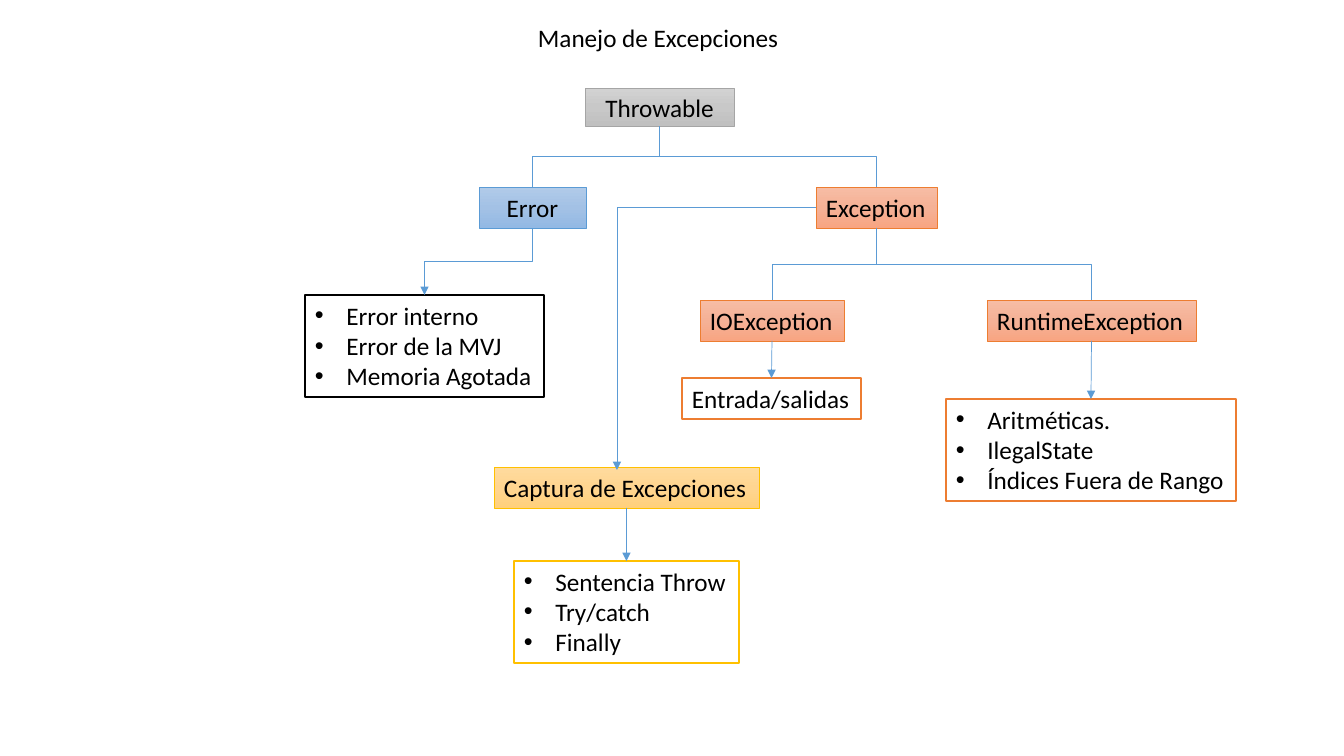
from copy import deepcopy

from lxml.etree import SubElement
from pptx import Presentation
from pptx.dml.color import RGBColor
from pptx.enum.shapes import MSO_CONNECTOR, MSO_SHAPE
from pptx.enum.text import MSO_ANCHOR, MSO_AUTO_SIZE, PP_ALIGN
from pptx.oxml.ns import qn
from pptx.util import Emu, Pt

PX_PER_INCH = 100.8
BLACK = RGBColor(0x00, 0x00, 0x00)
WHITE = RGBColor(0xFF, 0xFF, 0xFF)
GRAY = RGBColor(0xA5, 0xA5, 0xA5)
BLUE = RGBColor(0x5B, 0x9B, 0xD5)
ORANGE = RGBColor(0xED, 0x7D, 0x31)
GOLD = RGBColor(0xFF, 0xC0, 0x00)
SHADES = {
    GRAY: (RGBColor(0xD2, 0xD2, 0xD2), RGBColor(0xC8, 0xC8, 0xC8), RGBColor(0xC0, 0xC0, 0xC0)),
    BLUE: (RGBColor(0xB1, 0xCB, 0xE9), RGBColor(0xA3, 0xC1, 0xE5), RGBColor(0x93, 0xB9, 0xE4)),
    ORANGE: (RGBColor(0xF7, 0xBD, 0xA5), RGBColor(0xF5, 0xB1, 0x96), RGBColor(0xF8, 0xA5, 0x82)),
    GOLD: (RGBColor(0xFF, 0xDB, 0x9E), RGBColor(0xFF, 0xD5, 0x90), RGBColor(0xFF, 0xD0, 0x7C)),
}
TOP, LEFT, BOTTOM = 0, 1, 2


def px(length):
    return Emu(round(length * 914400 / PX_PER_INCH))


def write_text(shape, text, centered=False, bulleted=False):
    frame = shape.text_frame
    frame.text = text
    frame.word_wrap = centered
    frame.vertical_anchor = MSO_ANCHOR.MIDDLE if centered else MSO_ANCHOR.TOP
    frame.auto_size = MSO_AUTO_SIZE.NONE if centered else MSO_AUTO_SIZE.SHAPE_TO_FIT_TEXT
    for para in frame.paragraphs:
        para.alignment = PP_ALIGN.CENTER if centered else PP_ALIGN.LEFT
        if bulleted:
            properties = para._p.get_or_add_pPr()
            indent = px(31.5)
            properties.set("marL", str(indent))
            properties.set("indent", str(-indent))
            SubElement(properties, qn("a:buFont"), typeface="Arial")
            SubElement(properties, qn("a:buChar"), char="•")
        for span in para.runs:
            span.font.name = "Calibri"
            span.font.size = Pt(18)
            span.font.color.rgb = BLACK


def add_title(page, box, text):
    write_text(page.shapes.add_textbox(*map(px, box)), text)


def add_box(page, box, color, line_width):
    shape = page.shapes.add_shape(MSO_SHAPE.RECTANGLE, *map(px, box))
    shape.shadow.inherit = False
    shape.line.color.rgb = color
    shape.line.width = Pt(line_width)
    return shape


def add_class(page, box, text, color, centered=False):
    """Add a shaded heading box of the exception tree."""
    shape = add_box(page, box, color, 0.5)
    fill = shape.fill
    fill.gradient()
    fill.gradient_angle = 270
    first = shape._element.spPr.find(qn("a:gradFill")).find(qn("a:gsLst"))[0]
    first.addnext(deepcopy(first))
    for stop, shade, position in zip(fill.gradient_stops, SHADES[color], (0, 0.5, 1)):
        stop.color.rgb = shade
        stop.position = position
    write_text(shape, text, centered)
    return shape


def add_details(page, box, lines, color):
    """Add a white box; several lines become bullets."""
    shape = add_box(page, box, color, 1)
    shape.fill.solid()
    shape.fill.fore_color.rgb = WHITE
    write_text(shape, "\n".join(lines), bulleted=len(lines) > 1)
    return shape


def style_link(link, arrow):
    link.line.color.rgb = BLUE
    link.line.width = Pt(0.5)
    properties = link._element.spPr
    if arrow:
        SubElement(properties.find(qn("a:ln")), qn("a:tailEnd"), type="triangle")
    SubElement(properties, qn("a:effectLst"))


def add_link(page, kind, parent, child, arrow):
    """Join the bottom of parent to the top of child."""
    link = page.shapes.add_connector(kind, 0, 0, 0, 0)
    link.begin_connect(parent, BOTTOM)
    link.end_connect(child, TOP)
    style_link(link, arrow)
    return link


def add_arrow(page, parent, child):
    add_link(page, MSO_CONNECTOR.STRAIGHT, parent, child, True)


def add_branch(page, parent, child, arrow=False):
    """Add an elbow that leaves downwards, as a turned horizontal elbow."""
    link = add_link(page, MSO_CONNECTOR.ELBOW, parent, child, arrow)
    start_x, end_x = link.begin_x, link.end_x
    start_y, end_y = link.begin_y, link.end_y
    link.width, link.height = end_y - start_y, abs(end_x - start_x)
    link.left = (start_x + end_x - link.width) // 2
    link.top = (start_y + end_y - link.height) // 2
    frame = link._element.spPr.find(qn("a:xfrm"))
    frame.attrib.clear()
    rightward = end_x > start_x
    frame.set("rot", str((270 if rightward else 90) * 60000))
    if rightward:
        frame.set("flipH", "1")


def add_corner_arrow(page, start, end):
    """Add an arrow that runs sideways and then down."""
    link = page.shapes.add_connector(MSO_CONNECTOR.ELBOW, *map(px, start + end))
    link._element.spPr.find(qn("a:prstGeom")).set("prst", "bentConnector2")
    style_link(link, True)


def add_exception_tree(page, left, top):
    def place(x, y, width, height):
        return left + x, top + y, width, height

    throwable = add_class(page, place(280, 0, 149, 38), "Throwable", GRAY, True)
    error = add_class(page, place(174, 99, 107, 41), "Error", BLUE, True)
    exception = add_class(page, place(511, 99, 121, 41), "Exception", ORANGE)
    runtime = add_class(page, place(682, 212, 209, 41), "RuntimeException", ORANGE)
    io_exception = add_class(page, place(395, 212, 144, 41), "IOException", ORANGE)
    capture = add_class(page, place(189, 379, 265, 41), "Captura de Excepciones", GOLD)

    errors = add_details(page, place(0, 207, 239, 102),
                         ["Error interno", "Error de la MVJ", "Memoria Agotada"], BLACK)
    runtime_cases = add_details(page, place(641, 311, 290, 102),
                                ["Aritméticas.", "IlegalState", "Índices Fuera de Rango"], ORANGE)
    io_cases = add_details(page, place(377, 290, 179, 41), ["Entrada/salidas"], ORANGE)
    statements = add_details(page, place(209, 473, 225, 102),
                             ["Sentencia Throw", "Try/catch", "Finally"], GOLD)

    for parent, child in ((throwable, exception), (throwable, error),
                          (exception, runtime), (exception, io_exception)):
        add_branch(page, parent, child)
    add_branch(page, error, errors, arrow=True)
    add_corner_arrow(page, (left + 511, top + 119), (left + 312, top + 382))
    for parent, child in ((runtime, runtime_cases), (io_exception, io_cases),
                          (capture, statements)):
        add_arrow(page, parent, child)


def main():
    deck = Presentation()
    deck.slide_width, deck.slide_height = px(1344), px(756)
    page = deck.slides.add_slide(deck.slide_layouts[6])
    add_title(page, (528, 17, 263, 40), "Manejo de Excepciones")
    add_exception_tree(page, 305, 88)
    deck.save("out.pptx")


if __name__ == "__main__":
    main()
